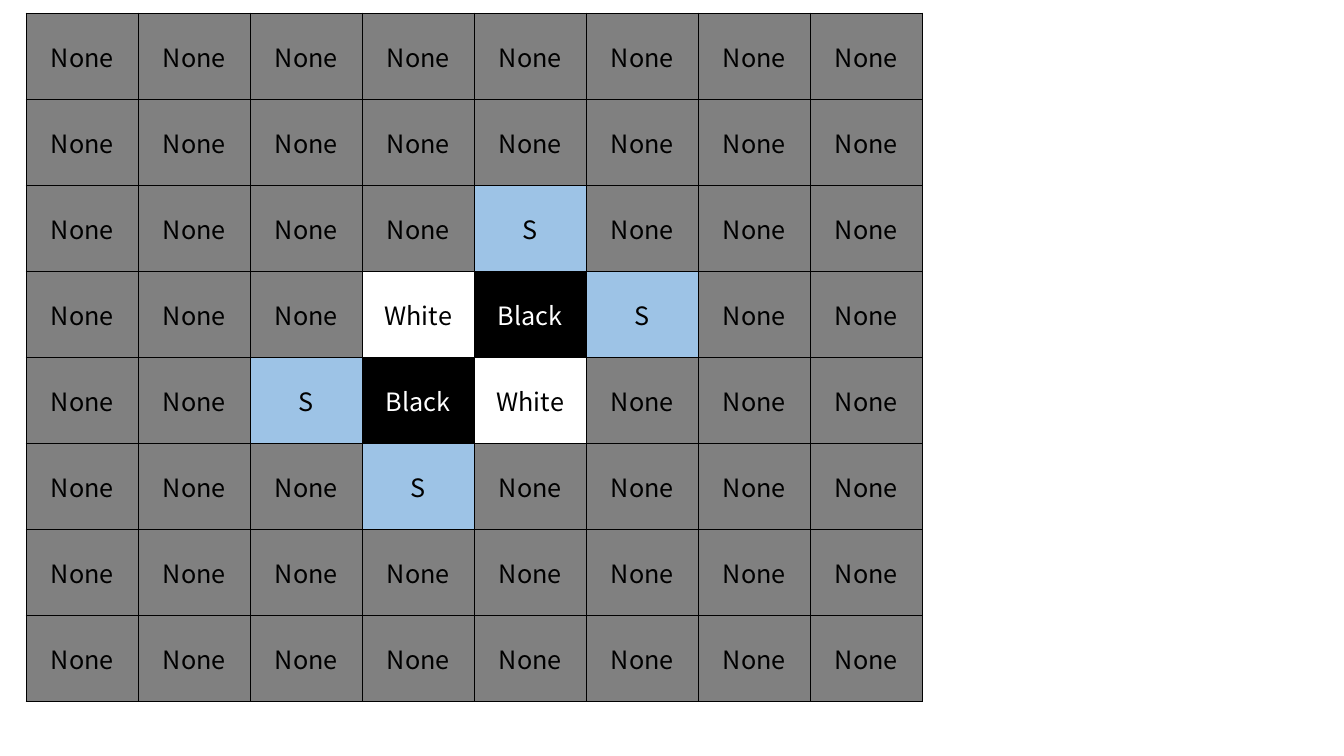
from typing import NamedTuple

from lxml.etree import SubElement
from pptx import Presentation
from pptx.dml.color import RGBColor
from pptx.enum.text import MSO_ANCHOR as Anchor, PP_ALIGN as Align
from pptx.oxml.ns import qn
from pptx.table import _Cell as Cell
from pptx.util import Inches, Pt

BLACK = RGBColor(0x00, 0x00, 0x00)
WHITE = RGBColor(0xFF, 0xFF, 0xFF)
GRAY = RGBColor(0x80, 0x80, 0x80)
BLUE = RGBColor(0x9D, 0xC3, 0xE6)


class Square(NamedTuple):
    label: str
    fill: RGBColor
    color: RGBColor = BLACK


SQUARES = {
    ".": Square("None", GRAY),
    "S": Square("S", BLUE),
    "W": Square("White", WHITE),
    "B": Square("Black", BLACK, WHITE),
}

# Opening position, one letter a square
BOARD = [
    "........",
    "........",
    "....S...",
    "...WBS..",
    "..SBW...",
    "...S....",
    "........",
    "........",
]
COLUMN_WIDTH = Inches(8.89 / 8)
ROW_HEIGHT = Inches(6.83 / 8)
FONT = {"name": "Noto Sans CJK KR", "size": Pt(18), "bold": False}


def add_borders(cell: Cell) -> None:
    tc_pr = cell._tc.get_or_add_tcPr()
    for side in ("lnL", "lnR", "lnT", "lnB"):
        line = SubElement(tc_pr, qn(f"a:{side}"), w=str(Pt(1)))
        fill = SubElement(line, qn("a:solidFill"))
        SubElement(fill, qn("a:srgbClr"), val=str(BLACK))


def draw_square(cell: Cell, square: Square) -> None:
    add_borders(cell)
    cell.fill.solid()
    cell.fill.fore_color.rgb = square.fill
    cell.vertical_anchor = Anchor.MIDDLE
    p = cell.text_frame.paragraphs[0]
    p.alignment = Align.CENTER
    r = p.add_run()
    r.text = square.label
    for name, value in FONT.items():
        setattr(r.font, name, value)
    r.font.color.rgb = square.color


# Slide
prs = Presentation()
prs.slide_width, prs.slide_height = Inches(13.33), Inches(7.5)
s = prs.slides.add_slide(prs.slide_layouts[6])

# Game board
size = len(BOARD)
board = s.shapes.add_table(size, size, Inches(0.26), Inches(0.13),
                           COLUMN_WIDTH * size, ROW_HEIGHT * size).table
board.first_row = board.horz_banding = False
for column in board.columns:
    column.width = COLUMN_WIDTH
for row, letters in zip(board.rows, BOARD):
    row.height = ROW_HEIGHT
    for cell, letter in zip(row.cells, letters):
        draw_square(cell, SQUARES[letter])

prs.save("out.pptx")
